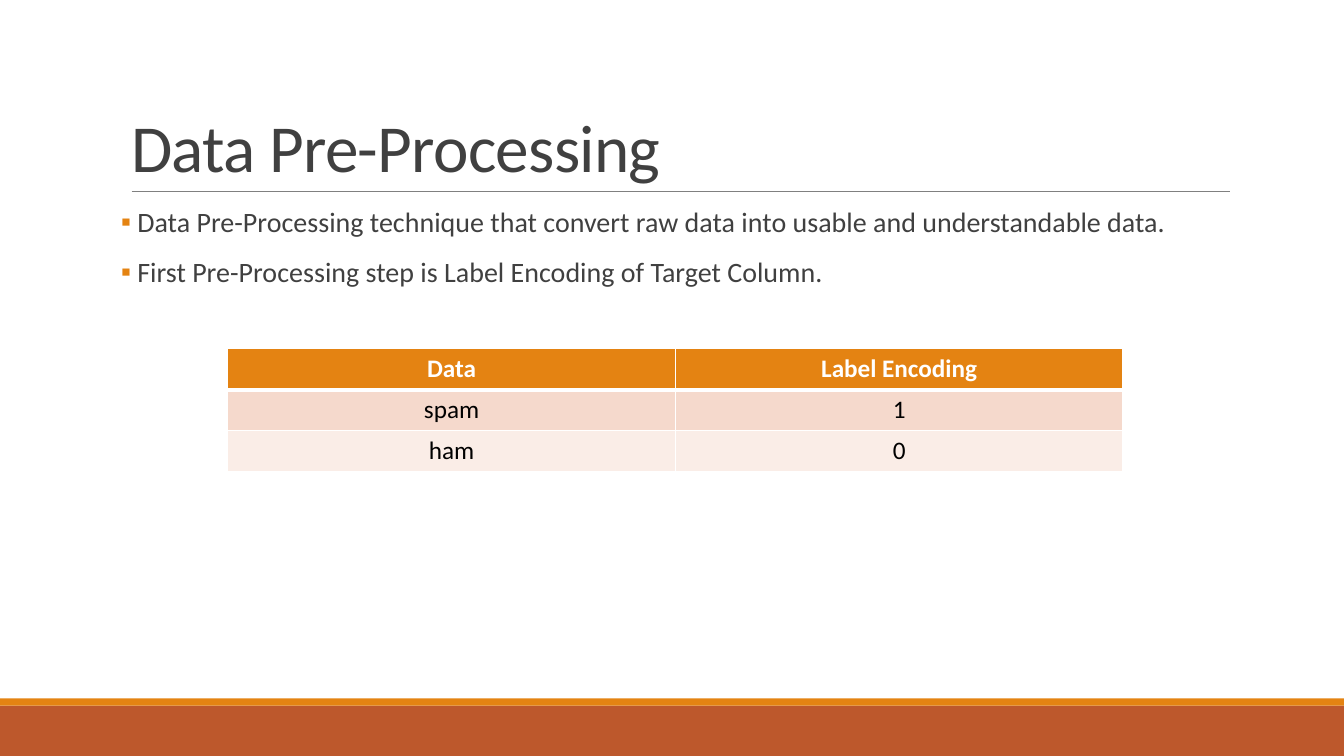
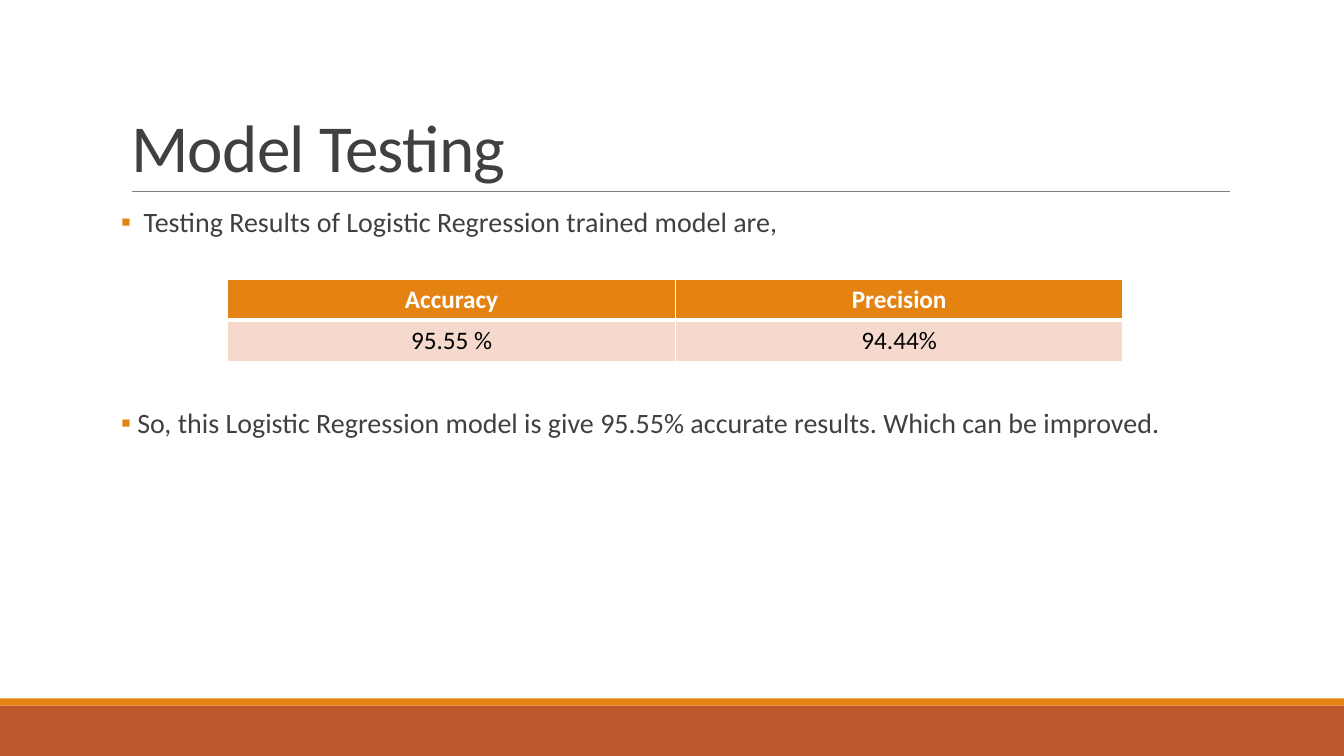
import pptx
import pptx.dml.color
import pptx.enum.shapes
import pptx.enum.text
import pptx.oxml
import pptx.oxml.ns
import pptx.util
from pptx.util import Cm, Pt

RGBColor = pptx.dml.color.RGBColor
ORANGE = RGBColor(0xE4, 0x83, 0x12)
RUST = RGBColor(0xBD, 0x58, 0x2C)
GREY = RGBColor(0x80, 0x80, 0x80)
DARK = RGBColor(0x40, 0x40, 0x40)
WHITE = RGBColor(0xFF, 0xFF, 0xFF)
BLACK = RGBColor(0, 0, 0)
ROW_FILLS = [RGBColor(0xF5, 0xD9, 0xCC), RGBColor(0xFA, 0xED, 0xE7)]
FONT = "Calibri"
NS = pptx.oxml.ns.nsdecls("a")
ALIGN = pptx.enum.text.PP_ALIGN

TITLE = {"name": FONT, "size": Pt(48)}
BODY = {"name": FONT, "size": Pt(20)}
HEADER = {"name": FONT, "size": Pt(18), "bold": True}
CELL = {"name": FONT, "size": Pt(18), "bold": False}
TITLE_PARA = {"alignment": ALIGN.LEFT, "line_spacing": 0.85}
BODY_PARA = {"alignment": ALIGN.LEFT, "line_spacing": 0.9, "space_after": Pt(2)}

SLIDE_W, SLIDE_H = Cm(33.87), Cm(19.05)
COL_W, ROW_H = Cm(11.28), Cm(1.03)

# Per slide: title, bullets (text, text indent in cm, space before in pt), table top in cm, rows
SLIDES = [
    ("Data Pre-Processing",
     [("Data Pre-Processing technique that convert raw data into usable and understandable data.", 0.41, 12),
      ("First Pre-Processing step is Label Encoding of Target Column.", 0.41, 12)],
     8.79, [("Data", "Label Encoding"), ("spam", "1"), ("ham", "0")]),
    ("Model Testing",
     [("Testing Results of Logistic Regression trained model are,", 0.57, 12),
      ("So, this Logistic Regression model is give 95.55% accurate results. Which can be improved.", 0.41, 120)],
     7.04, [("Accuracy", "Precision"), ("95.55 %", "94.44%")]),
]


def write(p, text, font, color, para):
    """Fill a paragraph with one formatted run and return the run."""
    for name, value in para.items():
        setattr(p, name, value)
    r = p.add_run()
    r.text = text
    for name, value in font.items():
        setattr(r.font, name, value)
    r.font.color.rgb = color
    return r


prs = pptx.Presentation()
prs.slide_width, prs.slide_height = SLIDE_W, SLIDE_H
layout = prs.slide_layouts[1]

# Placeholder geometry on the layout
for ph, top, height in zip(list(layout.placeholders)[:2], (0.79, 5.13), (4.04, 11.18)):
    ph.left, ph.top, ph.width, ph.height = Cm(3.05), Cm(top), Cm(27.94), Cm(height)

for number, (title, bullets, table_top, rows) in enumerate(SLIDES):
    s = prs.slides.add_slide(layout)

    # Bands and title rule are drawn once, then moved to the shared layout
    if number == 0:
        shared = []
        for top, height, color in [(17.78, 1.27, RUST), (17.6, 0.18, ORANGE)]:
            sp = s.shapes.add_shape(pptx.enum.shapes.MSO_SHAPE.RECTANGLE,
                                    0, Cm(top), SLIDE_W, Cm(height))
            sp.shadow.inherit = False
            sp.fill.solid()
            sp.fill.fore_color.rgb = color
            sp.line.fill.background()
            shared.append(sp)
        rule = s.shapes.add_connector(pptx.enum.shapes.MSO_CONNECTOR.STRAIGHT,
                                      Cm(3.32), Cm(4.82), Cm(31), Cm(4.82))
        rule.line.color.rgb = GREY
        rule.line.width = Pt(0.5)
        rule.element.spPr.append(pptx.oxml.parse_xml(f"<a:effectLst {NS}/>"))
        shared.append(rule)
        for sp in shared:
            layout.shapes.element.append(sp.element)

    tf = s.shapes.title.text_frame
    tf.vertical_anchor = pptx.enum.text.MSO_ANCHOR.BOTTOM
    tf.auto_size = pptx.enum.text.MSO_AUTO_SIZE.NONE
    r = write(tf.paragraphs[0], title, TITLE, DARK, TITLE_PARA)
    r._r.get_or_add_rPr().set("spc", "-50")

    tf = s.placeholders[1].text_frame
    tf.auto_size = pptx.enum.text.MSO_AUTO_SIZE.NONE
    tf.margin_left = tf.margin_right = 0
    for i, (text, indent, before) in enumerate(bullets):
        p = tf.add_paragraph() if i else tf.paragraphs[0]
        write(p, text, BODY, DARK, {**BODY_PARA, "space_before": Pt(before)})
        pPr = p._p.get_or_add_pPr()
        pPr.set("marL", str(Cm(indent)))
        pPr.set("indent", str(-Cm(indent)))
        for xml in (f'<a:buClr {NS}><a:srgbClr val="{ORANGE}"/></a:buClr>',
                    f'<a:buFont {NS} typeface="{FONT}"/>',
                    f'<a:buChar {NS} char="▪"/>'):
            pPr.append(pptx.oxml.parse_xml(xml))

    table = s.shapes.add_table(len(rows), 2, Cm(5.74), Cm(table_top),
                               2 * COL_W, len(rows) * ROW_H).table
    for column in table.columns:
        column.width = COL_W
    for i, row in enumerate(rows):
        table.rows[i].height = ROW_H
        for j, text in enumerate(row):
            cell = table.cell(i, j)
            font, color, fill = ((CELL, BLACK, ROW_FILLS[(i - 1) % 2]) if i
                                 else (HEADER, WHITE, ORANGE))
            write(cell.text_frame.paragraphs[0], text, font, color, {"alignment": ALIGN.CENTER})
            tcPr = cell._tc.get_or_add_tcPr()
            for side in "LRTB":
                thick = (i, side) in [(0, "B"), (1, "T")]
                tcPr.append(pptx.oxml.parse_xml(
                    f'<a:ln{side} {NS} w="{Pt(3 if thick else 1)}"><a:solidFill>'
                    f'<a:srgbClr val="{WHITE}"/></a:solidFill></a:ln{side}>'))
            cell.fill.solid()
            cell.fill.fore_color.rgb = fill

prs.save("out.pptx")
